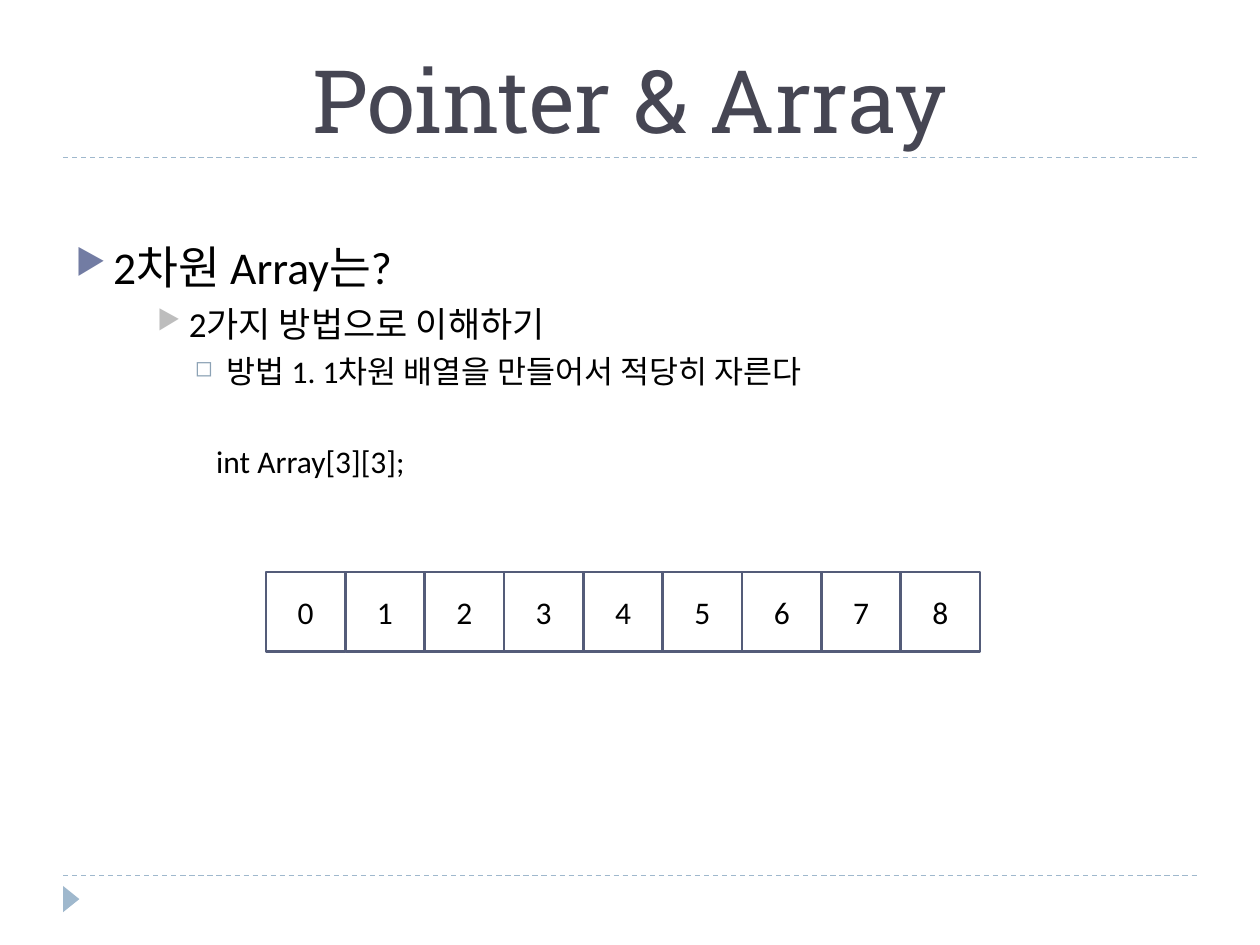
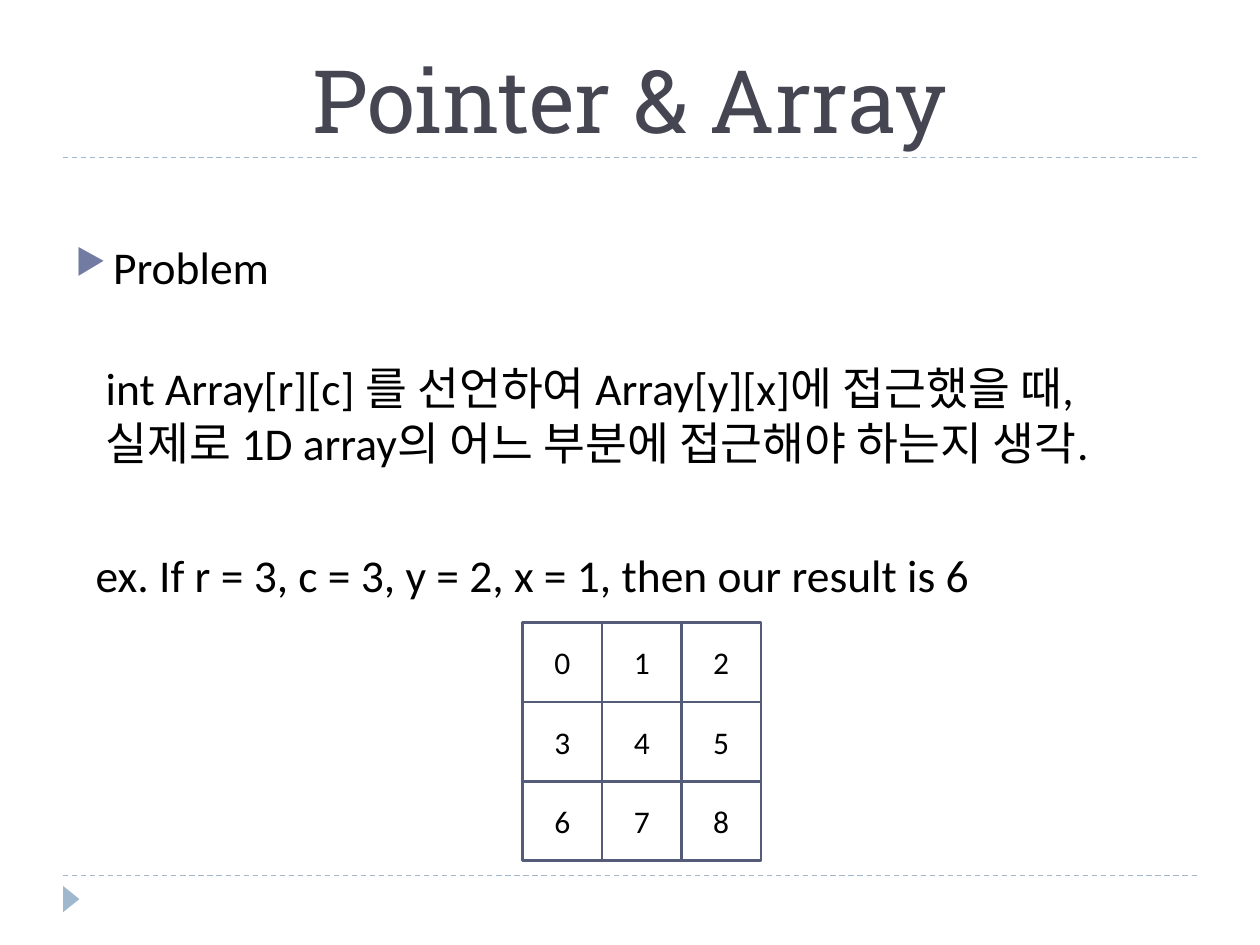
import pptx
import pptx.util
import pptx.dml.color
import pptx.enum.dml
import pptx.enum.shapes
import pptx.enum.text
import pptx.oxml
import pptx.oxml.ns
from pptx.util import Cm, Pt

# Shared look
TITLE = "Pointer & Array"
TITLE_FONT, BODY_FONT = "Roboto Slab", "Calibri"
INK, PAPER = "000000", "FFFFFF"
TITLE_COLOR, ACCENT, CELL_LINE = "464653", "9FB8CD", "545C79"
LEFT, WIDTH = 1.27, 22.86
RULES_Y = (3.18, 17.65)
CELL = 1.6

# Paragraph styles: size, left margin, hanging indent (cm), space before, bullet
STYLES = {
    "point": (26, 0.76, -0.76, 0, ("▶", "727CA3", 76)),
    "sub": (20, 2.29, -0.64, 5, ("▶", "BDBDBD", 76)),
    "detail": (18, 3.05, -0.64, 4, ("◻", "8CA2B5", 70)),
    "code": (18, 2.84, 0, 30, None),
    "question": (26, 0.61, 0, 38, None),
    "example": (26, 0.41, 0, 44, None),
}

# Content: body paragraphs, then the array grid (left, top, columns)
SLIDES = [
    {
        "body": [
            ("point", "2차원 Array는?"),
            ("sub", "2가지 방법으로 이해하기"),
            ("detail", "방법 1. 1차원 배열을 만들어서 적당히 자른다"),
            ("code", "int Array[3][3];"),
        ],
        "grid": (5.36, 11.53, 9),
    },
    {
        "body": [
            ("point", "Problem"),
            ("question", "int Array[r][c] 를 선언하여 Array[y][x]에 접근했을 때,\v"
                         "실제로 1D array의 어느 부분에 접근해야 하는지 생각."),
            ("example", "ex. If r = 3, c = 3, y = 2, x = 1, then our result is 6"),
        ],
        "grid": (10.54, 12.55, 3),
    },
]
ARRAY_SIZE = 9


def rgb(color):
    return pptx.dml.color.RGBColor.from_string(color)


def format_runs(p, font, size, color):
    for r in p.runs:
        r.font.name = font
        r.font.size = Pt(size)
        r.font.color.rgb = rgb(color)


def add_xml(parent, tag, **attrs):
    el = pptx.oxml.parse_xml(f"<a:{tag} {pptx.oxml.ns.nsdecls('a')}/>")
    for name, value in attrs.items():
        el.set(name, value)
    parent.append(el)
    return el


def add_box(s, kind, x, y, w, h, fill, line=None):
    sp = s.shapes.add_shape(kind, Cm(x), Cm(y), Cm(w), Cm(h))
    sp.shadow.inherit = False
    sp.fill.solid()
    sp.fill.fore_color.rgb = rgb(fill)
    if line:
        sp.line.color.rgb = rgb(line)
        sp.line.width = Pt(1.5)
    else:
        sp.line.fill.background()
    return sp


def add_frame(s):
    # Dashed rules and corner marker
    for y in RULES_Y:
        c = s.shapes.add_connector(pptx.enum.shapes.MSO_CONNECTOR.STRAIGHT,
                                   Cm(LEFT), Cm(y), Cm(LEFT + WIDTH), Cm(y))
        c.line.color.rgb = rgb(ACCENT)
        c.line.width = Pt(0.75)
        c.line.dash_style = pptx.enum.dml.MSO_LINE.DASH
        add_xml(c._element.spPr, "effectLst")
    marker = add_box(s, pptx.enum.shapes.MSO_SHAPE.ISOSCELES_TRIANGLE,
                     1.17, 17.96, 0.53, 0.33, ACCENT)
    marker.rotation = 90


def set_title(s):
    sp = s.shapes.title
    sp.left, sp.top, sp.width, sp.height = Cm(LEFT), Cm(0.43), Cm(WIDTH), Cm(2.74)
    tf = sp.text_frame
    tf.text = TITLE
    tf.auto_size = pptx.enum.text.MSO_AUTO_SIZE.NONE
    tf.vertical_anchor = pptx.enum.text.MSO_ANCHOR.BOTTOM
    tf.paragraphs[0].alignment = pptx.enum.text.PP_ALIGN.CENTER
    format_runs(tf.paragraphs[0], TITLE_FONT, 50, TITLE_COLOR)


def add_body(s, body):
    tf = s.shapes.add_textbox(Cm(LEFT), Cm(4.7), Cm(WIDTH), Cm(12.9)).text_frame
    tf.word_wrap = True
    for i, (style, text) in enumerate(body):
        size, margin, indent, before, bullet = STYLES[style]
        p = tf.add_paragraph() if i else tf.paragraphs[0]
        p.text = text
        p.space_before = Pt(before)
        format_runs(p, BODY_FONT, size, INK)
        pPr = p._p.get_or_add_pPr()
        pPr.set("marL", str(Cm(margin)))
        pPr.set("indent", str(Cm(indent)))
        if bullet:
            char, color, percent = bullet
            add_xml(add_xml(pPr, "buClr"), "srgbClr", val=color)
            add_xml(pPr, "buSzPct", val=str(percent * 1000))
            add_xml(pPr, "buChar", char=char)


def add_grid(s, left, top, columns):
    for i in range(ARRAY_SIZE):
        row, col = divmod(i, columns)
        sp = add_box(s, pptx.enum.shapes.MSO_SHAPE.RECTANGLE, left + col * CELL,
                     top + row * CELL, CELL, CELL, PAPER, CELL_LINE)
        tf = sp.text_frame
        tf.text = str(i)
        tf.vertical_anchor = pptx.enum.text.MSO_ANCHOR.MIDDLE
        tf.paragraphs[0].alignment = pptx.enum.text.PP_ALIGN.CENTER
        format_runs(tf.paragraphs[0], BODY_FONT, 18, INK)


def main():
    prs = pptx.Presentation()
    prs.slide_width, prs.slide_height = Cm(25.4), Cm(19.05)
    for content in SLIDES:
        s = prs.slides.add_slide(prs.slide_layouts[5])
        add_frame(s)
        set_title(s)
        add_body(s, content["body"])
        add_grid(s, *content["grid"])
    prs.save("out.pptx")


if __name__ == "__main__":
    main()
